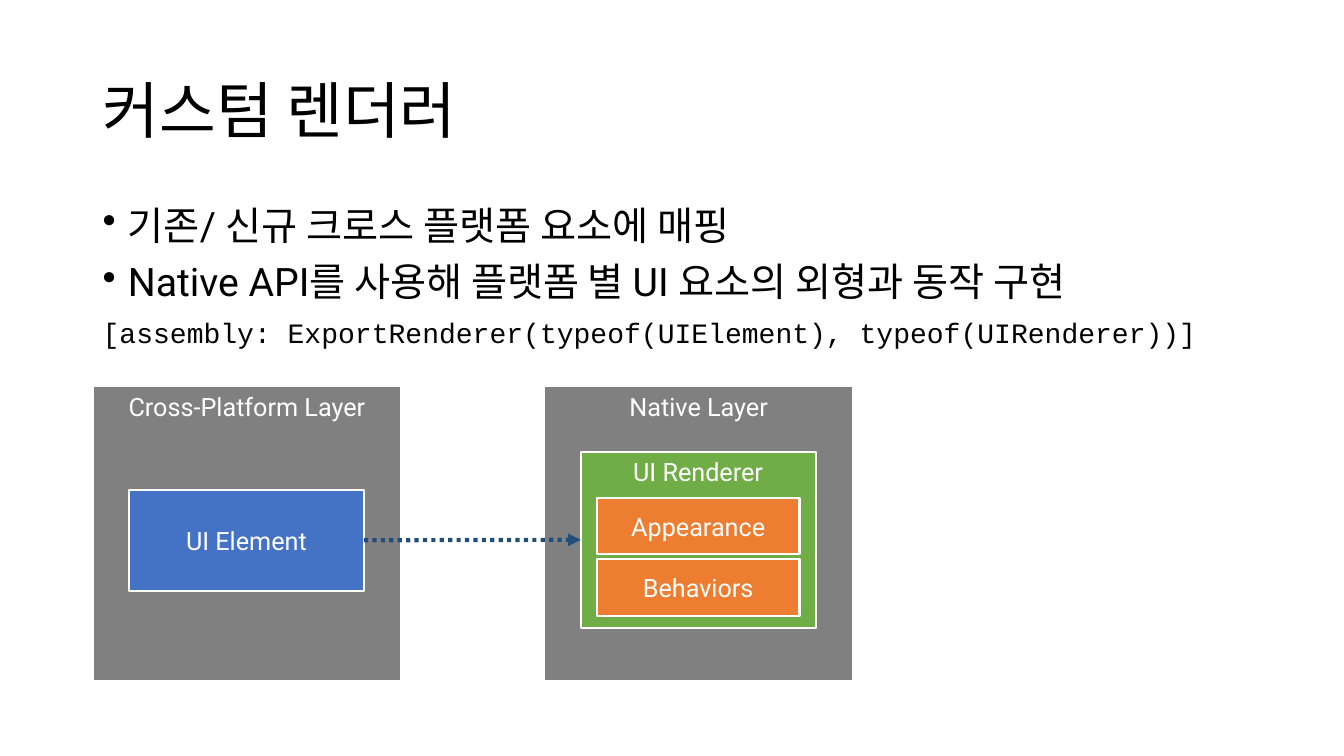
from dataclasses import dataclass

from lxml.etree import SubElement
from pptx import Presentation
from pptx.dml.color import RGBColor
from pptx.enum.dml import MSO_LINE
from pptx.enum.shapes import MSO_CONNECTOR, MSO_SHAPE
from pptx.enum.text import MSO_ANCHOR, PP_ALIGN
from pptx.oxml.ns import qn
from pptx.util import Inches, Pt


@dataclass(frozen=True)
class Theme:
    font: str = "Roboto"
    code_font: str = "Courier New"
    title_size: int = 44
    body_size: int = 28
    code_size: int = 20
    label_size: int = 18
    ink: str = "000000"
    white: str = "FFFFFF"
    layer: str = "808080"
    element: str = "4472C4"
    renderer: str = "70AD47"
    feature: str = "ED7D31"
    arrow: str = "1F4E79"
    border: float = 1.5
    arrow_width: float = 3


class SlideBuilder:
    def __init__(self, slide, theme):
        self.slide = slide
        self.theme = theme

    def style(self, paragraph, size, color, font=None):
        paragraph.font.size = Pt(size)
        paragraph.font.name = font or self.theme.font
        paragraph.font.color.rgb = RGBColor.from_string(color)

    def text(self, left, top, width, height, anchor=MSO_ANCHOR.TOP):
        box = self.slide.shapes.add_textbox(
            Inches(left), Inches(top), Inches(width), Inches(height))
        frame = box.text_frame
        frame.word_wrap = True
        frame.vertical_anchor = anchor
        return frame

    def line(self, paragraph, wording, size, font=None, before=0, bullet=False):
        paragraph.text = wording
        paragraph.line_spacing = 0.9
        paragraph.space_before = Pt(before)
        self.style(paragraph, size, self.theme.ink, font)
        if bullet:
            properties = paragraph._p.get_or_add_pPr()
            properties.set("marL", str(Inches(0.25)))
            properties.set("indent", str(Inches(-0.25)))
            marker = properties.makeelement(qn("a:buChar"), {"char": "•"})
            properties.find(qn("a:defRPr")).addprevious(marker)

    def box(self, wording, fill, left, top, width, height, anchor=MSO_ANCHOR.MIDDLE):
        rectangle = self.slide.shapes.add_shape(
            MSO_SHAPE.RECTANGLE,
            Inches(left), Inches(top), Inches(width), Inches(height))
        rectangle.shadow.inherit = False
        rectangle.fill.solid()
        rectangle.fill.fore_color.rgb = RGBColor.from_string(fill)
        rectangle.line.color.rgb = RGBColor.from_string(self.theme.white)
        rectangle.line.width = Pt(self.theme.border)
        frame = rectangle.text_frame
        frame.word_wrap = True
        frame.vertical_anchor = anchor
        label = frame.paragraphs[0]
        label.text = wording
        label.alignment = PP_ALIGN.CENTER
        self.style(label, self.theme.label_size, self.theme.white)
        return rectangle

    def arrow(self, source, target):
        link = self.slide.shapes.add_connector(MSO_CONNECTOR.STRAIGHT, 0, 0, 0, 0)
        link.begin_connect(source, 3)
        link.end_connect(target, 1)
        link.line.color.rgb = RGBColor.from_string(self.theme.arrow)
        link.line.width = Pt(self.theme.arrow_width)
        link.line.dash_style = MSO_LINE.ROUND_DOT
        outline = link._element.spPr.find(qn("a:ln"))
        SubElement(outline, qn("a:tailEnd"), type="triangle")
        SubElement(link._element.spPr, qn("a:effectLst"))


def main():
    presentation = Presentation()
    presentation.slide_width = Inches(13.33)
    presentation.slide_height = Inches(7.5)
    slide = presentation.slides.add_slide(presentation.slide_layouts[6])
    theme = Theme()
    builder = SlideBuilder(slide, theme)

    title = builder.text(0.92, 0.4, 11.5, 1.45, MSO_ANCHOR.MIDDLE)
    builder.line(title.paragraphs[0], "커스텀 렌더러", theme.title_size)

    body = builder.text(0.92, 2, 11.5, 4.76)
    builder.line(body.paragraphs[0], "기존/ 신규 크로스 플랫폼 요소에 매핑",
                 theme.body_size, before=10, bullet=True)
    builder.line(body.add_paragraph(),
                 "Native API를 사용해 플랫폼 별 UI 요소의 외형과 동작 구현",
                 theme.body_size, before=10, bullet=True)
    builder.line(body.add_paragraph(),
                 "[assembly: ExportRenderer(typeof(UIElement), typeof(UIRenderer))]",
                 theme.code_size, theme.code_font, before=10)

    for layer, left in (("Cross-Platform Layer", 0.92), ("Native Layer", 5.4)):
        builder.box(layer, theme.layer, left, 3.83, 3.06, 2.93, MSO_ANCHOR.TOP)

    element = builder.box("UI Element", theme.element, 1.28, 4.86, 2.33, 1)
    renderer = builder.box("UI Renderer", theme.renderer,
                           5.76, 4.48, 2.33, 1.75, MSO_ANCHOR.TOP)
    for row, feature in enumerate(("Appearance", "Behaviors")):
        builder.box(feature, theme.feature, 5.92, 4.94 + row * 0.61, 2.01, 0.56)
    builder.arrow(element, renderer)

    presentation.save("out.pptx")


if __name__ == "__main__":
    main()
